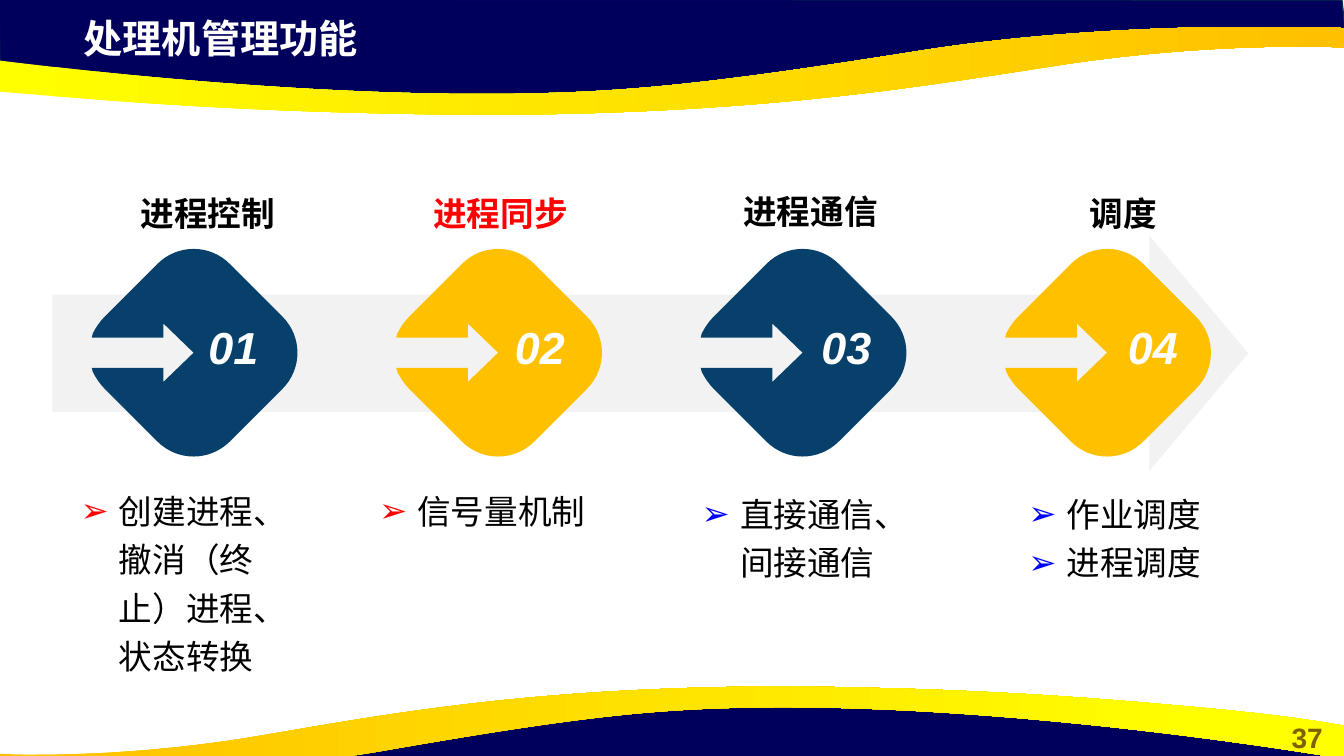
from dataclasses import dataclass
from math import cos, radians, sin

from pptx import Presentation
from pptx.dml.color import RGBColor
from pptx.enum.shapes import MSO_SHAPE
from pptx.enum.text import MSO_ANCHOR, MSO_AUTO_SIZE, PP_ALIGN
from pptx.oxml import parse_xml
from pptx.oxml.ns import nsdecls, qn
from pptx.util import Inches, Pt

COLUMNS, ROWS = 13.33, 7.5
SLIDE_WIDTH, SLIDE_HEIGHT = Inches(COLUMNS), Inches(ROWS)
NAVY, AMBER, YELLOW, BLUE = "00005C", "FFC000", "FFFF00", "07416B"
BLACK, WHITE, RED, BULLET_BLUE = "000000", "FFFFFF", "FF0000", "0000FF"

Outline = list[tuple[float, ...]]

BAND: Outline = [
    (-0.01, -0.01), (0, 0.7), (2.93, 1.02), (5.59, 1), (7.95, 0.88),
    (10.16, 0.5), (12.38, 0.33), (13.35, 0.38), (13.31, 0), (-0.01, -0.01),
]
RIBBON: Outline = [
    (4.83, 1.14), (4.43, 1.14, 4.01, 1.13, 3.56, 1.12),
    (2.06, 1.08, 1.1, 1, 0.36, 0.94), (-0.88, 0.84, -1.3, 0.75, -1.33, 0.75),
    (-1.33, 0.42, -1.33, 0.42, -1.33, 0.42), (-1.33, 0.42, 2.18, 0.98, 5.17, 0.93),
    (6.26, 0.91, 7.08, 0.83, 9.15, 0.5), (11.21, 0.18, 13.33, 0.28, 13.33, 0.28),
    (13.33, 0.32), (13.33, 0.47), (13.3, 0.47),
    (13.05, 0.46, 11.95, 0.43, 10.55, 0.64), (9.18, 0.85, 7.62, 1.13, 4.83, 1.14),
]
DIAMOND: Outline = [
    (0, -1.03), (0.13, -1.03, 0.26, -0.98, 0.36, -0.88), (0.88, -0.36),
    (1.08, -0.16, 1.08, 0.16, 0.88, 0.36), (0.36, 0.88),
    (0.16, 1.08, -0.16, 1.08, -0.36, 0.88), (-0.88, 0.36),
    (-0.93, 0.31, -0.97, 0.25, -1, 0.19), (-1.01, 0.15), (-0.3, 0.15),
    (-0.3, 0.29), (0, 0), (-0.3, -0.29), (-0.3, -0.15), (-1.01, -0.15),
    (-1, -0.19), (-0.97, -0.25, -0.93, -0.31, -0.88, -0.36), (-0.36, -0.88),
    (-0.26, -0.98, -0.13, -1.03, 0, -1.03),
]


@dataclass
class Box:
    left: float
    top: float
    width: float
    height: float


@dataclass
class Step:
    label: str
    label_box: Box
    items: list[str]
    items_box: Box
    fill: str
    bullet: str
    label_color: str = BLACK
    label_spacing: float = 1.0


STEPS = [
    Step("进程控制", Box(0.59, 1.86, 2.94, 0.43), ["创建进程、撤消（终止）进程、状态转换"],
         Box(0.7, 4.74, 2.5, 1.6), BLUE, RED),
    Step("进程同步", Box(3.15, 1.83, 3.63, 0.43), ["信号量机制"],
         Box(3.66, 4.74, 2.49, 0.94), AMBER, RED, RED, 1.1),
    Step("进程通信", Box(6.75, 1.84, 2.58, 0.43), ["直接通信、间接通信"],
         Box(6.86, 4.77, 2.21, 0.58), BLUE, BULLET_BLUE),
    Step("调度", Box(9.45, 1.86, 3.38, 0.43), ["作业调度", "进程调度"],
         Box(10.1, 4.77, 2.59, 0.91), AMBER, BULLET_BLUE),
]


def color(value: str) -> RGBColor:
    return RGBColor.from_string(value)


def column(count: float) -> int:
    return round(SLIDE_WIDTH * count / COLUMNS)


def row(count: float) -> int:
    return round(SLIDE_HEIGHT * count / ROWS)


def frame(box: Box) -> tuple[int, int, int, int]:
    return column(box.left), row(box.top), column(box.width), row(box.height)


def points_of(segment: tuple[float, ...]) -> list[tuple[float, float]]:
    return list(zip(segment[::2], segment[1::2]))


def turned(outline: Outline, left: float, bottom: float, scale: float) -> Outline:
    return [
        tuple(value for x, y in points_of(segment)
              for value in (COLUMNS - (x - left) * scale, bottom - y))
        for segment in outline
    ]


def rotated(outline: Outline, center_x: float, center_y: float, degrees: float) -> Outline:
    cosine, sine = cos(radians(degrees)), sin(radians(degrees))
    return [
        tuple(value for x, y in points_of(segment)
              for value in (center_x + x * cosine - y * sine, center_y + x * sine + y * cosine))
        for segment in outline
    ]


def add_outline(slide, outline: Outline, fill: str | None = None, line: str | None = None):
    corners = [(column(x), row(y)) for segment in outline for x, y in points_of(segment)]
    builder = slide.shapes.build_freeform(*corners[0])
    builder.add_line_segments(corners[1:], close=True)
    shape = builder.convert_to_shape()
    vertices = iter(list(shape.element.iter(qn("a:lnTo"))))
    for segment in outline[1:]:
        steps = [next(vertices) for _ in points_of(segment)]
        if len(steps) == 3:
            curve = parse_xml(f'<a:cubicBezTo {nsdecls("a")}/>')
            steps[0].addprevious(curve)
            for step in steps:
                curve.append(step[0])
                step.getparent().remove(step)
    shape.shadow.inherit = False
    if fill:
        shape.fill.solid()
        shape.fill.fore_color.rgb = color(fill)
    if line:
        shape.line.color.rgb = color(line)
        shape.line.width = Pt(1)
    else:
        shape.line.fill.background()
    return shape


def add_ribbon(slide, outline: Outline, stops: list[tuple[float, str]]) -> None:
    fill = add_outline(slide, outline).fill
    fill.gradient()
    fill.gradient_angle = 0
    for stop, (position, value) in zip(fill.gradient_stops, stops):
        stop.position = position
        stop.color.rgb = color(value)


def place(placeholder, box: Box):
    placeholder.left, placeholder.top, placeholder.width, placeholder.height = frame(box)
    placeholder.element.getparent().append(placeholder.element)
    return placeholder


def write_text(shape, lines: list[str], *, size: float = 24, fill: str = BLACK,
               bold: bool = False, italic: bool = False, align=PP_ALIGN.CENTER,
               anchor=MSO_ANCHOR.TOP, spacing: float = 1.0, bullet: str | None = None) -> None:
    text_frame = shape.text_frame
    text_frame.word_wrap = True
    text_frame.auto_size = MSO_AUTO_SIZE.NONE
    text_frame.vertical_anchor = anchor
    text_frame.margin_left = text_frame.margin_right = column(0.1)
    text_frame.margin_top = text_frame.margin_bottom = row(0.05)
    text_frame.text = "\n".join(lines)
    for paragraph in text_frame.paragraphs:
        if bullet:
            properties = paragraph._p.get_or_add_pPr()
            properties.set("marL", str(column(0.38)))
            properties.set("indent", str(-column(0.38)))
            for markup in (
                f'<a:buClr {nsdecls("a")}><a:srgbClr val="{bullet}"/></a:buClr>',
                f'<a:buChar {nsdecls("a")} char="➢"/>',
            ):
                properties.append(parse_xml(markup))
        paragraph.alignment = align
        paragraph.line_spacing = spacing
        paragraph.space_before = Pt(0)
        for run in paragraph.runs:
            run.font.name = "Arial"
            run.font.size = Pt(size)
            run.font.bold = bold
            run.font.italic = italic
            run.font.color.rgb = color(fill)


def add_text(slide, box: Box, text: str, **text_format) -> None:
    write_text(slide.shapes.add_textbox(*frame(box)), [text], **text_format)


def add_decoration(slide) -> None:
    add_outline(slide, BAND, NAVY, "05304F")
    add_ribbon(slide, RIBBON, [(0.1, YELLOW), (1, AMBER)])
    add_outline(slide, turned(BAND, 0, 7.93, 1), NAVY, "05304F")
    add_ribbon(slide, turned(RIBBON, -1.33, 7.95, 0.91), [(0, AMBER), (0.9, YELLOW)])
    add_text(slide, Box(12.6, 7.09, 0.73, 0.44), "37", size=20, fill="806000",
             bold=True, anchor=MSO_ANCHOR.MIDDLE)


def add_arrow(slide) -> None:
    arrow = slide.shapes.add_shape(MSO_SHAPE.RIGHT_ARROW, *frame(Box(0.52, 2.34, 11.86, 2.33)))
    arrow.adjustments[0], arrow.adjustments[1] = 0.5, 0.42
    arrow.shadow.inherit = False
    arrow.fill.solid()
    arrow.fill.fore_color.rgb = color("F2F2F2")
    arrow.line.fill.background()


def add_step(slide, index: int, step: Step) -> None:
    diamond = rotated(DIAMOND, 1.92 + 3.02 * index, 3.5, -45)
    add_outline(slide, diamond, step.fill).rotation = 45
    add_text(slide, step.label_box, step.label, fill=step.label_color, bold=True,
             spacing=step.label_spacing)
    add_text(slide, Box(1.93 + 3.04 * index, 3.07, 0.77, 0.74), f"{index + 1:02}", size=32,
             fill=WHITE, bold=True, italic=True, anchor=MSO_ANCHOR.MIDDLE)
    write_text(place(slide.placeholders[index + 1], step.items_box), step.items,
               align=PP_ALIGN.LEFT, spacing=1.2, bullet=step.bullet)


def main() -> None:
    presentation = Presentation()
    presentation.slide_width, presentation.slide_height = SLIDE_WIDTH, SLIDE_HEIGHT
    slide = presentation.slides.add_slide(presentation.slide_layouts.get_by_name("Comparison"))
    add_decoration(slide)
    write_text(place(slide.shapes.title, Box(0.73, 0.09, 7.68, 0.57)), ["处理机管理功能"],
               size=28, fill=WHITE, bold=True, align=PP_ALIGN.LEFT, anchor=MSO_ANCHOR.MIDDLE)
    add_arrow(slide)
    for index, step in enumerate(STEPS):
        add_step(slide, index, step)
    presentation.save("out.pptx")


if __name__ == "__main__":
    main()
